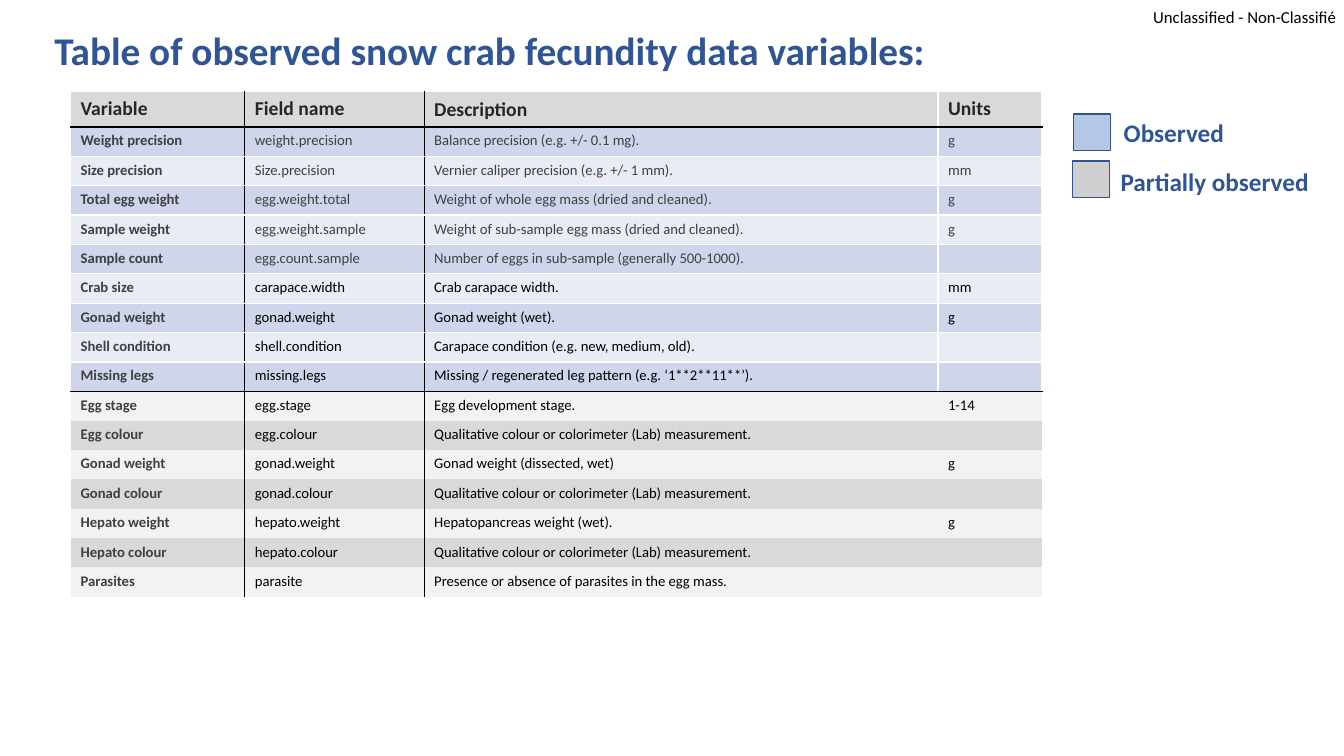
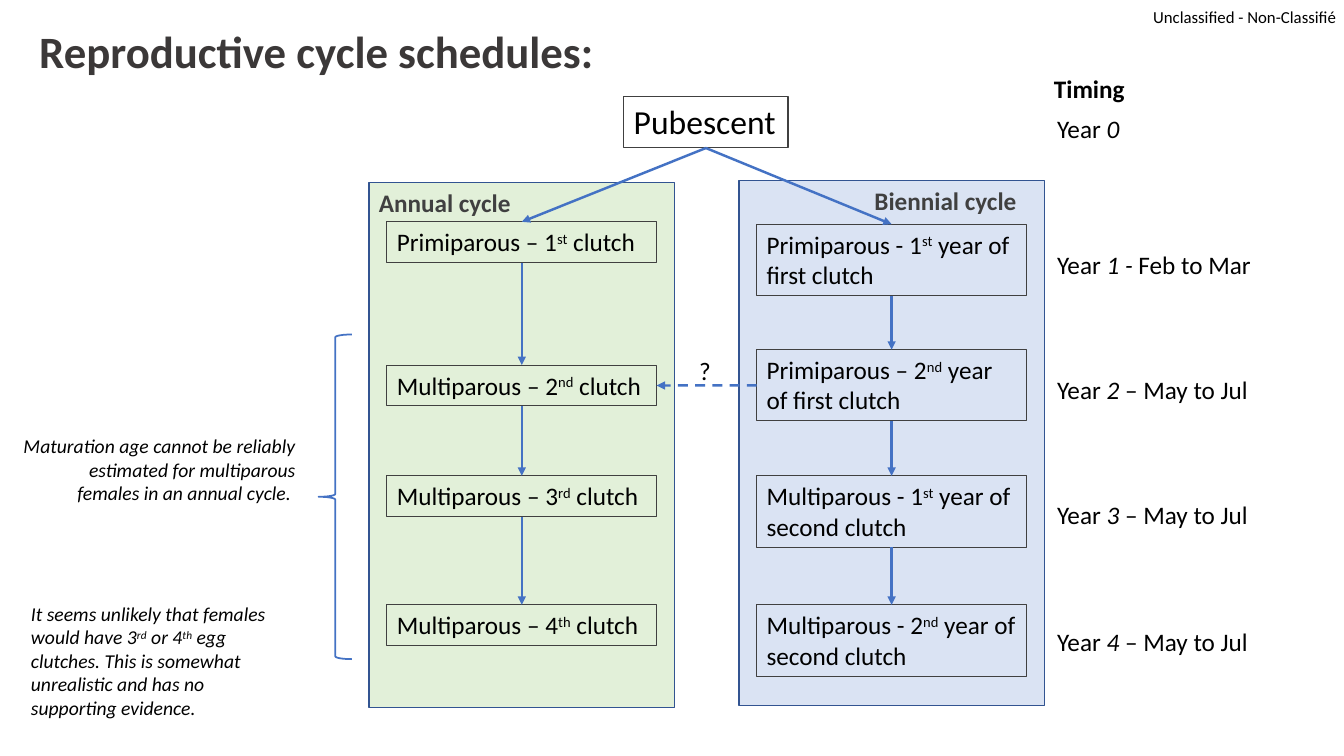
from dataclasses import dataclass
from itertools import pairwise

from lxml.etree import SubElement
from pptx import Presentation
from pptx.dml.color import RGBColor
from pptx.enum.dml import MSO_LINE
from pptx.enum.shapes import MSO_CONNECTOR, MSO_SHAPE
from pptx.enum.text import MSO_ANCHOR, MSO_AUTO_SIZE, PP_ALIGN
from pptx.oxml.ns import qn
from pptx.util import Cm, Pt


@dataclass(frozen=True)
class Theme:
    font: str = "Calibri"
    black: str = "000000"
    white: str = "FFFFFF"
    heading_blue: str = "2F5597"
    heading_grey: str = "3B3838"
    header_text: str = "262626"
    muted: str = "404040"
    outline: str = "325491"
    arrow: str = "4472C4"
    observed: str = "B4C7E7"
    partial: str = "D0CECE"
    header_fill: str = "D9D9D9"
    observed_bands: tuple = ("CFD5EA", "E9EBF5")
    partial_bands: tuple = ("F2F2F2", "D9D9D9")
    annual: str = "E2F0D9"
    biennial: str = "DAE3F3"
    title_large: float = 32
    title: float = 28
    stage: float = 24
    body: float = 18
    note: float = 14
    mark: float = 12
    cell: float = 10.5


THEME = Theme()

COLUMN_WIDTHS = (4.39, 4.52, 12.95, 2.62)
HEADER = ("Variable", "Field name", "Description", "Units")
OBSERVED_ROWS = [
    ("Weight precision", "weight.precision", "Balance precision (e.g. +/- 0.1 mg).", "g"),
    ("Size precision", "Size.precision", "Vernier caliper precision (e.g. +/- 1 mm).", "mm"),
    ("Total egg weight", "egg.weight.total", "Weight of whole egg mass (dried and cleaned).", "g"),
    ("Sample weight", "egg.weight.sample", "Weight of sub-sample egg mass (dried and cleaned).", "g"),
    ("Sample count", "egg.count.sample", "Number of eggs in sub-sample (generally 500-1000).", ""),
    ("Crab size", "carapace.width", "Crab carapace width.", "mm"),
    ("Gonad weight", "gonad.weight", "Gonad weight (wet).", "g"),
    ("Shell condition", "shell.condition", "Carapace condition (e.g. new, medium, old).", ""),
    ("Missing legs", "missing.legs", "Missing / regenerated leg pattern (e.g. ‘1**2**11**’).", ""),
]
COLOUR_METHOD = "Qualitative colour or colorimeter (Lab) measurement."
PARTIAL_ROWS = [
    ("Egg stage", "egg.stage", "Egg development stage.", "1-14"),
    ("Egg colour", "egg.colour", COLOUR_METHOD, ""),
    ("Gonad weight", "gonad.weight", "Gonad weight (dissected, wet)", "g"),
    ("Gonad colour", "gonad.colour", COLOUR_METHOD, ""),
    ("Hepato weight", "hepato.weight", "Hepatopancreas weight (wet).", "g"),
    ("Hepato colour", "hepato.colour", COLOUR_METHOD, ""),
    ("Parasites", "parasite", "Presence or absence of parasites in the egg mass.", ""),
]
MUTED_ROWS = 5
LAST_OBSERVED = len(OBSERVED_ROWS)

LEGEND = [
    ("Observed", THEME.observed, (27.05, 2.87), (28.07, 2.82)),
    ("Partially observed", THEME.partial, (27.03, 4.06), (27.99, 4.06)),
]

ANNUAL_STAGES = [
    (5.59, "Primiparous – 1", "st", " clutch"),
    (9.2, "Multiparous – 2", "nd", " clutch"),
    (11.99, "Multiparous – 3", "rd", " clutch"),
    (15.24, "Multiparous – 4", "th", " clutch"),
]
BIENNIAL_STAGES = [
    (5.65, "Primiparous - 1", "st", " year of first clutch"),
    (8.81, "Primiparous – 2", "nd", " year of first clutch"),
    (11.99, "Multiparous - 1", "st", " year of second clutch"),
    (15.24, "Multiparous - 2", "nd", " year of second clutch"),
]
TIMINGS = [
    (2.74, "0", ""),
    (6.17, "1 - ", "Feb to Mar"),
    (9.3, "2 ", "– May to Jul"),
    (12.45, "3 ", "– May to Jul"),
    (15.65, "4 ", "– May to Jul"),
]


def rgb(colour):
    return RGBColor.from_string(colour)


def write(frame, runs, size, colour=THEME.black, bold=False, italic=False, align=PP_ALIGN.LEFT):
    paragraph = frame.paragraphs[0]
    paragraph.alignment = align
    for text, style in runs:
        run = paragraph.add_run()
        run.text = text
        font = run.font
        font.name, font.size, font.bold = THEME.font, Pt(size), bold
        font.italic = italic or style == "italic"
        font.color.rgb = rgb(colour)
        if style == "super":
            font._element.set("baseline", "30000")
    return paragraph


def plain(text):
    return [(text, "")]


def ordinal(before, suffix, after):
    return [(before, ""), (suffix, "super"), (after, "")]


def add_text(slide, box, runs, size, wrap=True, **style):
    label = slide.shapes.add_textbox(*map(Cm, box))
    frame = label.text_frame
    frame.word_wrap = wrap
    frame.auto_size = MSO_AUTO_SIZE.SHAPE_TO_FIT_TEXT
    write(frame, runs, size, **style)
    return label


def add_outlined(slide, box, fill=None, line=THEME.outline, weight=1, preset=MSO_SHAPE.RECTANGLE):
    outlined = slide.shapes.add_shape(preset, *map(Cm, box))
    outlined.shadow.inherit = False
    if fill:
        outlined.fill.solid()
        outlined.fill.fore_color.rgb = rgb(fill)
    else:
        outlined.fill.background()
    outlined.line.color.rgb = rgb(line)
    outlined.line.width = Pt(weight)
    outlined.text_frame.vertical_anchor = MSO_ANCHOR.TOP
    return outlined


def add_stage(slide, box, runs, size=THEME.body, wrap=True):
    stage = add_outlined(slide, box, line=THEME.muted, weight=0.75)
    stage.text_frame.word_wrap = wrap
    write(stage.text_frame, runs, size)
    return stage


def add_arrow(slide, start, start_side, end, end_side, dashed=False):
    arrow = slide.shapes.add_connector(MSO_CONNECTOR.STRAIGHT, 0, 0, 0, 0)
    arrow.begin_connect(start, start_side)
    arrow.end_connect(end, end_side)
    arrow.line.color.rgb = rgb(THEME.arrow)
    arrow.line.width = Pt(1.75)
    if dashed:
        arrow.line.dash_style = MSO_LINE.DASH
    SubElement(arrow.line._get_or_add_ln(), qn("a:tailEnd"), type="triangle")
    SubElement(arrow._element.spPr, qn("a:effectLst"))


def add_title(slide, box, text, size, colour, line_spacing=1.0):
    title = add_text(slide, box, plain(text), size, colour=colour, bold=True)
    title.text_frame.vertical_anchor = MSO_ANCHOR.MIDDLE
    title.text_frame.paragraphs[0].line_spacing = line_spacing


def new_slide(deck):
    slide = deck.slides.add_slide(deck.slide_layouts[6])
    mark = add_text(slide, (29.06, 0.18, 4.72, 0.51), plain("Unclassified - Non-Classifié"), THEME.mark)
    frame = mark.text_frame
    frame.margin_left = frame.margin_top = frame.margin_right = frame.margin_bottom = 0
    return slide


def vertical_rule(row, column):
    if column in (1, 2):
        return THEME.black
    return THEME.white if row <= LAST_OBSERVED else None


def horizontal_rule(row):
    if row in (1, LAST_OBSERVED + 1):
        return THEME.black
    return THEME.white if row <= LAST_OBSERVED else None


def set_borders(cell, row, column):
    edges = {
        "a:lnL": vertical_rule(row, column),
        "a:lnR": vertical_rule(row, column + 1),
        "a:lnT": horizontal_rule(row),
        "a:lnB": horizontal_rule(row + 1),
    }
    properties = cell._tc.get_or_add_tcPr()
    for tag, colour in edges.items():
        edge = SubElement(properties, qn(tag), w=str(Pt(1)))
        if colour:
            SubElement(SubElement(edge, qn("a:solidFill")), qn("a:srgbClr"), val=colour)
        else:
            SubElement(edge, qn("a:noFill"))


def row_fill(row):
    if row == 0:
        return THEME.header_fill
    if row <= LAST_OBSERVED:
        return THEME.observed_bands[(row - 1) % 2]
    return THEME.partial_bands[(row - LAST_OBSERVED - 1) % 2]


def cell_colour(row, column):
    if row == 0:
        return THEME.header_text
    return THEME.muted if column == 0 or row <= MUTED_ROWS else THEME.black


def fill_cell(cell, text, row, column):
    set_borders(cell, row, column)
    cell.fill.solid()
    cell.fill.fore_color.rgb = rgb(row_fill(row))
    size = THEME.cell if row else THEME.note
    if text:
        write(cell.text_frame, plain(text), size, cell_colour(row, column), row == 0 or column == 0)
    else:
        SubElement(cell.text_frame.paragraphs[0]._p, qn("a:endParaRPr"), sz=str(int(size * 100)))


def add_variable_table(slide):
    rows = [HEADER, *OBSERVED_ROWS, *PARTIAL_ROWS]
    box = (1.78, 2.31, sum(COLUMN_WIDTHS), 12.73)
    table = slide.shapes.add_table(len(rows), len(HEADER), *map(Cm, box)).table
    table.horz_banding = False
    for column, width in zip(table.columns, COLUMN_WIDTHS):
        column.width = Cm(width)
    for row, texts in enumerate(rows):
        table.rows[row].height = Cm(0.74 if row else 0.89)
        for column, text in enumerate(texts):
            fill_cell(table.cell(row, column), text, row, column)
    description = table.cell(0, 2)
    description.vertical_anchor = MSO_ANCHOR.MIDDLE
    description.margin_top = description.margin_bottom = 0


def build_variables(deck):
    slide = new_slide(deck)
    add_variable_table(slide)
    add_title(slide, (1.12, 0.53, 26.95, 1.45), "Table of observed snow crab fecundity data variables:",
              THEME.title, THEME.heading_blue)
    for text, fill, swatch, label in LEGEND:
        add_outlined(slide, (*swatch, 0.94, 0.92), fill)
        width = 3.05 if text == "Observed" else 5.28
        add_text(slide, (*label, width, 1.02), plain(text), THEME.body, wrap=False,
                 colour=THEME.heading_blue, bold=True)


def add_panel(slide, left, top, name, fill, align):
    panel = add_outlined(slide, (left, top, 7.7, 13.23), fill)
    if align == PP_ALIGN.RIGHT:
        panel.text_frame.margin_right = Cm(0.7)
    write(panel.text_frame, plain(name), THEME.body, THEME.muted, bold=True, align=align)


def add_cycle(slide, panel_left, stages, height, origin):
    boxes = [add_stage(slide, (panel_left + 0.45, top, 6.8, height), ordinal(*words))
             for top, *words in stages]
    for upper, lower in pairwise([origin, *boxes]):
        add_arrow(slide, upper, 2, lower, 0)
    return boxes


def build_cycles(deck):
    slide = new_slide(deck)
    annual_left, biennial_left = 9.3, 18.62
    add_panel(slide, annual_left, 4.6, "Annual cycle", THEME.annual, PP_ALIGN.LEFT)
    add_panel(slide, biennial_left, 4.55, "Biennial cycle", THEME.biennial, PP_ALIGN.RIGHT)
    add_title(slide, (0.74, 0.61, 29.54, 1.52), "Reproductive cycle schedules:",
              THEME.title_large, THEME.heading_grey, 0.9)
    pubescent = add_stage(slide, (15.72, 2.43, 4.14, 1.3), plain("Pubescent"), THEME.stage, wrap=False)
    annual = add_cycle(slide, annual_left, ANNUAL_STAGES, 1.03, pubescent)
    biennial = add_cycle(slide, biennial_left, BIENNIAL_STAGES, 1.8, pubescent)
    add_arrow(slide, biennial[1], 1, annual[1], 3, dashed=True)
    add_text(slide, (17.37, 8.84, 0.81, 1.02), plain("?"), THEME.body, wrap=False)

    add_text(slide, (26.31, 1.73, 5.46, 1.02), plain("Timing"), THEME.body, bold=True)
    for top, year, months in TIMINGS:
        runs = [("Year ", ""), (year, "italic")] + (plain(months) if months else [])
        add_text(slide, (26.39, top, 5.4 if months else 2.11, 1.02), runs, THEME.body, wrap=False)

    add_text(slide, (0.33, 10.82, 7.37, 2.06),
             plain("Maturation age cannot be reliably estimated for multiparous females in an annual cycle. "),
             THEME.note, italic=True, align=PP_ALIGN.RIGHT)
    add_outlined(slide, (8.03, 8.43, 0.84, 8.18), line=THEME.arrow, weight=1.25, preset=MSO_SHAPE.LEFT_BRACE)
    evidence = ordinal("It seems unlikely that females would have 3", "rd", " or 4") + [
        ("th", "super"),
        (" egg clutches. This is somewhat unrealistic and has no supporting evidence.", ""),
    ]
    add_text(slide, (0.53, 15.04, 6.91, 3.25), evidence, THEME.note, italic=True)


def main():
    deck = Presentation()
    deck.slide_width, deck.slide_height = Cm(33.87), Cm(19.05)
    build_variables(deck)
    build_cycles(deck)
    deck.save("out.pptx")


if __name__ == "__main__":
    main()
